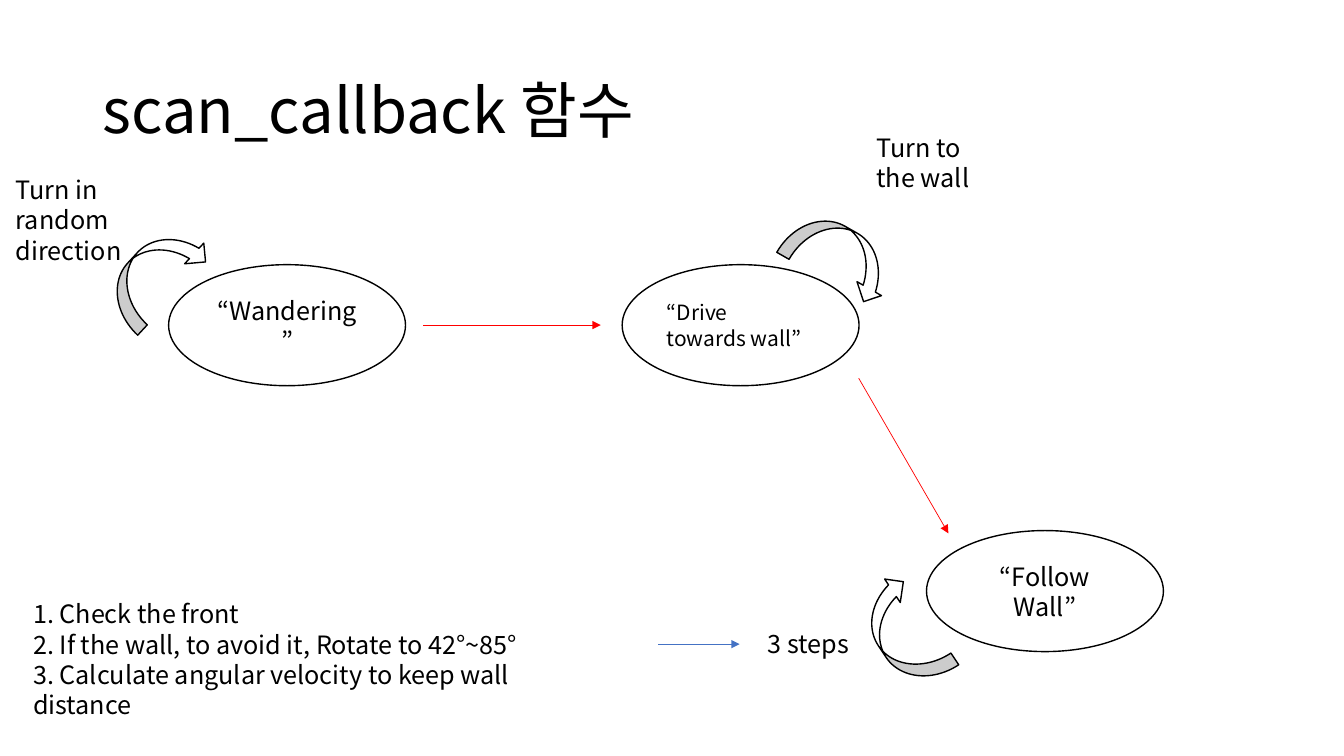
from lxml import etree
from pptx import Presentation
from pptx import util as u
from pptx.dml.color import RGBColor
from pptx.enum import shapes, text
from pptx.oxml import ns

BLACK = RGBColor(0x00, 0x00, 0x00)
WHITE = RGBColor(0xFF, 0xFF, 0xFF)
RED = RGBColor(0xFF, 0x00, 0x00)
BLUE = RGBColor(0x44, 0x72, 0xC4)
FONT = "Noto Sans CJK KR"
LEFT, CENTER = text.PP_ALIGN.LEFT, text.PP_ALIGN.CENTER
STATE_SIZE = (5.97, 3.05)
LOOP_SIZE = (2.87, 1.42)


def apply(target, **formats):
    """Set each named format value on the target."""
    for name, value in formats.items():
        setattr(target, name, value)


def place(item, left, top, width, height):
    """Move and size an item, in centimetres."""
    apply(item, left=u.Cm(left), top=u.Cm(top),
          width=u.Cm(width), height=u.Cm(height))


def write(frame, lines, size=18, align=LEFT, spacing=None):
    """Write one paragraph per line in the slide's font."""
    frame.word_wrap = True
    frame.text = "\n".join(lines)
    for para in frame.paragraphs:
        apply(para, alignment=align, space_before=u.Pt(0), line_spacing=spacing)
        for span in para.runs:
            apply(span.font, name=FONT, size=u.Pt(size))
            span.font.color.rgb = BLACK
            east_asian = etree.SubElement(span.font._element, ns.qn("a:ea"))
            east_asian.set("typeface", FONT)


def add_outlined(page, kind, left, top, size):
    """Add a white preset shape with a thin black outline."""
    shape = page.shapes.add_shape(kind, 0, 0, 0, 0)
    place(shape, left, top, *size)
    shape.shadow.inherit = False
    shape.fill.solid()
    shape.fill.fore_color.rgb = WHITE
    shape.line.color.rgb = BLACK
    shape.line.width = u.Pt(1)
    return shape


def add_state(page, left, top, lines, size=18, align=CENTER):
    """Add an ellipse naming one state of the robot."""
    state = add_outlined(page, shapes.MSO_SHAPE.OVAL, left, top, STATE_SIZE)
    state.text_frame.vertical_anchor = text.MSO_ANCHOR.MIDDLE
    write(state.text_frame, lines, size, align)


def add_loop(page, left, top, angle):
    """Add a mirrored curved arrow that loops back to a state."""
    loop = add_outlined(page, shapes.MSO_SHAPE.CURVED_UP_ARROW, left, top, LOOP_SIZE)
    loop.rotation = angle
    loop._element.spPr.find(ns.qn("a:xfrm")).set("flipH", "1")


def add_arrow(page, start, end, color):
    """Add a thin straight arrow between two points."""
    arrow = page.shapes.add_connector(
        shapes.MSO_CONNECTOR.STRAIGHT, *map(u.Cm, start + end))
    arrow.line.color.rgb = color
    arrow.line.width = u.Pt(0.5)
    head = etree.SubElement(arrow.line._get_or_add_ln(), ns.qn("a:tailEnd"))
    head.set("type", "triangle")
    etree.SubElement(arrow._element.spPr, ns.qn("a:effectLst"))


def add_label(page, left, top, width, height, words):
    """Add a plain text label."""
    box = page.shapes.add_textbox(0, 0, 0, 0)
    place(box, left, top, width, height)
    write(box.text_frame, [words])
    box.text_frame.auto_size = text.MSO_AUTO_SIZE.SHAPE_TO_FIT_TEXT


def fill_title(page, words):
    """Place and write the title."""
    title = page.shapes.title
    place(title, 2.33, 1.01, 29.21, 3.68)
    title.text_frame.vertical_anchor = text.MSO_ANCHOR.MIDDLE
    write(title.text_frame, [words], 44, spacing=0.9)


def fill_steps(page, lines):
    """Place and write the steps without bullets or indents."""
    steps = page.placeholders[1]
    place(steps, 0.58, 14.96, 15.06, 2.57)
    write(steps.text_frame, lines)
    steps.text_frame.auto_size = text.MSO_AUTO_SIZE.SHAPE_TO_FIT_TEXT
    for para in steps.text_frame.paragraphs:
        props = para._p.get_or_add_pPr()
        props.set("marL", "0")
        props.set("indent", "0")
        etree.SubElement(props, ns.qn("a:buNone"))


def main():
    """Build the state diagram slide."""
    deck = Presentation()
    apply(deck, slide_width=u.Cm(33.87), slide_height=u.Cm(19.05))
    page = deck.slides.add_slide(deck.slide_layouts[1])

    fill_title(page, "scan_callback 함수")
    fill_steps(page, ["1. Check the front",
                      "2. If the wall, to avoid it, Rotate to 42°~85°",
                      "3. Calculate angular velocity to keep wall distance"])

    add_state(page, 4.25, 6.67, ["“Wandering”"])
    add_state(page, 15.68, 6.67, ["“Drive", "towards wall”"], 15, LEFT)
    add_state(page, 23.35, 13.37, ["“Follow Wall”"])

    add_arrow(page, (10.67, 8.19), (15.14, 8.19), RED)
    add_arrow(page, (21.64, 9.53), (23.9, 13.44), RED)
    add_arrow(page, (16.59, 16.23), (18.64, 16.23), BLUE)

    for left, top, angle in ((2.49, 6.2, 132.8), (19.74, 5.74, 209.6),
                             (21.34, 15.24, 56.3)):
        add_loop(page, left, top, angle)

    add_label(page, 0.15, 4.27, 4.83, 2.57, "Turn in random direction")
    add_label(page, 21.84, 3.2, 3.66, 1.8, "Turn to the wall")
    add_label(page, 19.1, 15.72, 3.66, 1.02, "3 steps")
    deck.save("out.pptx")


main()
